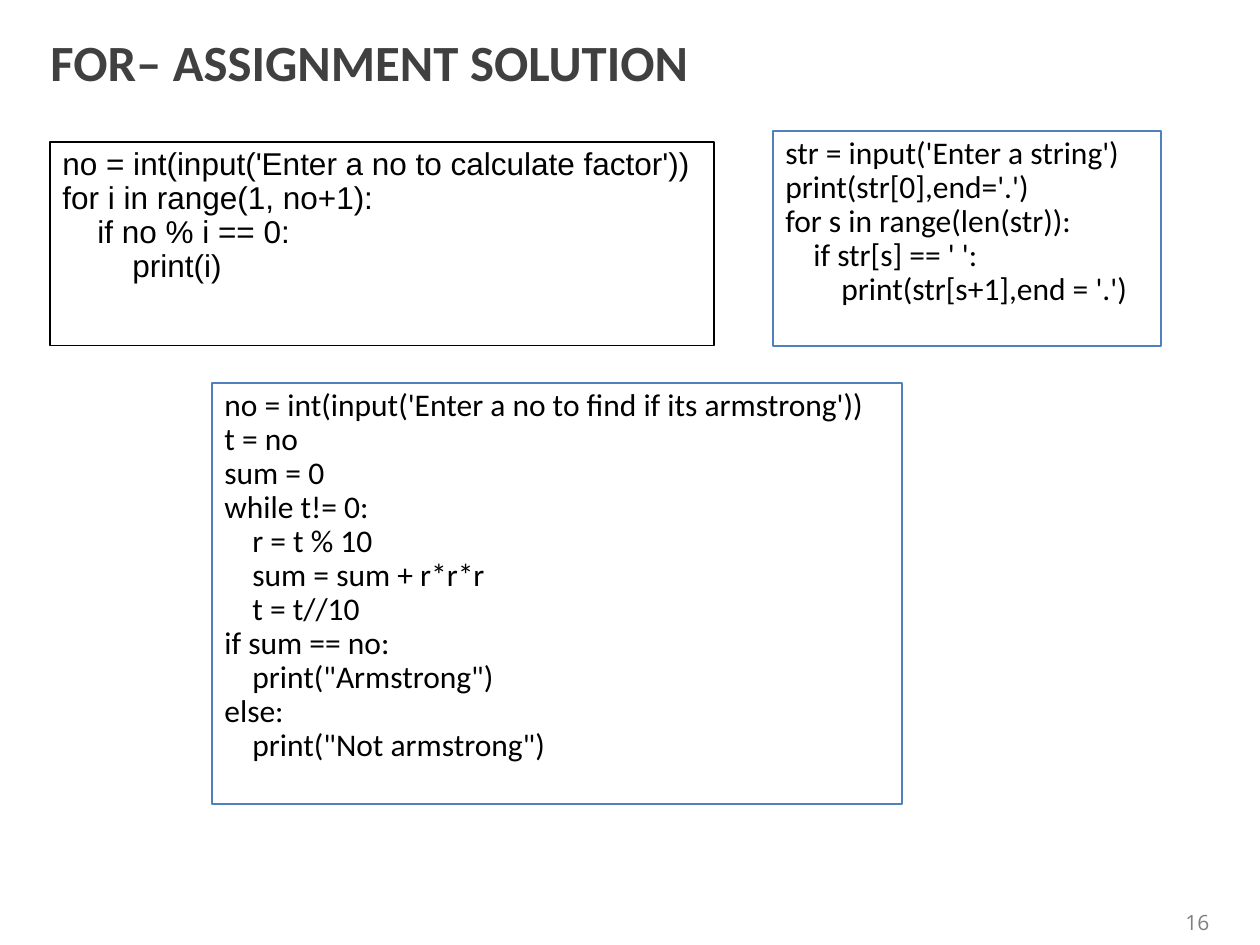
import dataclasses

import pptx
import pptx.dml.color
import pptx.enum.shapes
import pptx.enum.text
import pptx.util

EMU_PER_PIXEL = 914400 // 126
BLACK = "000000"
BLUE = "4F81BD"


@dataclasses.dataclass
class Frame:
    """A rectangle on the page, in pixels."""
    left: int
    top: int
    width: int
    height: int

    def emu(self) -> list[pptx.util.Emu]:
        """Return the four lengths in EMU."""
        return [pixels(value) for value in dataclasses.astuple(self)]


@dataclasses.dataclass
class Listing:
    """A framed piece of code; indent is the width of one level."""
    frame: Frame
    font: str
    outline: str
    indent: int
    lines: list[tuple[int, str]]


def pixels(value: int) -> pptx.util.Emu:
    """Turn pixels into EMU."""
    return pptx.util.Emu(value * EMU_PER_PIXEL)


def colour(code: str) -> pptx.dml.color.RGBColor:
    """Turn a hex string into a colour."""
    return pptx.dml.color.RGBColor.from_string(code)


def style(para, font: str, size: int, code: str, bold: bool = False) -> None:
    """Format every run of a paragraph."""
    for span in para.runs:
        span.font.name = font
        span.font.size = pptx.util.Pt(size)
        span.font.bold = bold
        span.font.color.rgb = colour(code)


def add_label(page, frame: Frame, text: str, font: str, size: int, code: str,
              bold: bool = False, centred: bool = False) -> None:
    """Add one line of text, centred vertically."""
    box = page.shapes.add_textbox(*frame.emu())
    box.text_frame.word_wrap = True
    box.text_frame.vertical_anchor = pptx.enum.text.MSO_ANCHOR.MIDDLE
    box.text_frame.text = text
    para = box.text_frame.paragraphs[0]
    if centred:
        para.alignment = pptx.enum.text.PP_ALIGN.CENTER
    style(para, font, size, code, bold)


def add_listing(page, listing: Listing) -> None:
    """Add a framed box with one paragraph for each line of code."""
    box = page.shapes.add_shape(
        pptx.enum.shapes.MSO_SHAPE.RECTANGLE, *listing.frame.emu())
    box.shadow.inherit = False
    box.fill.background()
    box.line.color.rgb = colour(listing.outline)
    box.line.width = pptx.util.Pt(0.75)
    box.text_frame.word_wrap = True
    box.text_frame.vertical_anchor = pptx.enum.text.MSO_ANCHOR.TOP
    box.text_frame.text = "\n".join(text for _, text in listing.lines)
    for para, (depth, _) in zip(box.text_frame.paragraphs, listing.lines):
        para.alignment = pptx.enum.text.PP_ALIGN.LEFT
        para.line_spacing = 0.9
        para.space_before = pptx.util.Pt(0)
        margin = pixels(depth * listing.indent)
        para._p.get_or_add_pPr().set("marL", str(int(margin)))
        style(para, listing.font, 18, BLACK)


LISTINGS = [
    Listing(Frame(50, 142, 664, 204), "Arial", BLACK, 35, [
        (0, "no = int(input('Enter a no to calculate factor'))"),
        (0, "for i in range(1, no+1):"),
        (1, "if no % i == 0:"),
        (2, "print(i)"),
    ]),
    Listing(Frame(773, 131, 388, 215), "Calibri", BLUE, 28, [
        (0, "str = input('Enter a string')"),
        (0, "print(str[0],end='.')"),
        (0, "for s in range(len(str)):"),
        (1, "if str[s] == ' ':"),
        (2, "print(str[s+1],end = '.')"),
    ]),
    Listing(Frame(212, 383, 690, 421), "Calibri", BLUE, 28, [
        (0, "no = int(input('Enter a no to find if its armstrong'))"),
        (0, "t = no"),
        (0, "sum = 0"),
        (0, "while t!= 0:"),
        (1, "r = t % 10"),
        (1, "sum = sum + r*r*r"),
        (1, "t = t//10"),
        (0, "if sum == no:"),
        (1, 'print("Armstrong")'),
        (0, "else:"),
        (1, 'print("Not armstrong")'),
    ]),
]


def main() -> None:
    """Build the slide and save it."""
    deck = pptx.Presentation()
    deck.slide_width = pptx.util.Inches(10)
    deck.slide_height = pptx.util.Inches(7.5)
    page = deck.slides.add_slide(deck.slide_layouts[6])
    add_label(page, Frame(1166, 903, 63, 38), "16", "Open Sans", 12, "808080",
              centred=True)
    add_label(page, Frame(38, 22, 1179, 79), "FOR\u2013 ASSIGNMENT SOLUTION",
              "Calibri", 29, "404040", bold=True)
    for listing in LISTINGS:
        add_listing(page, listing)
    deck.save("out.pptx")


main()
